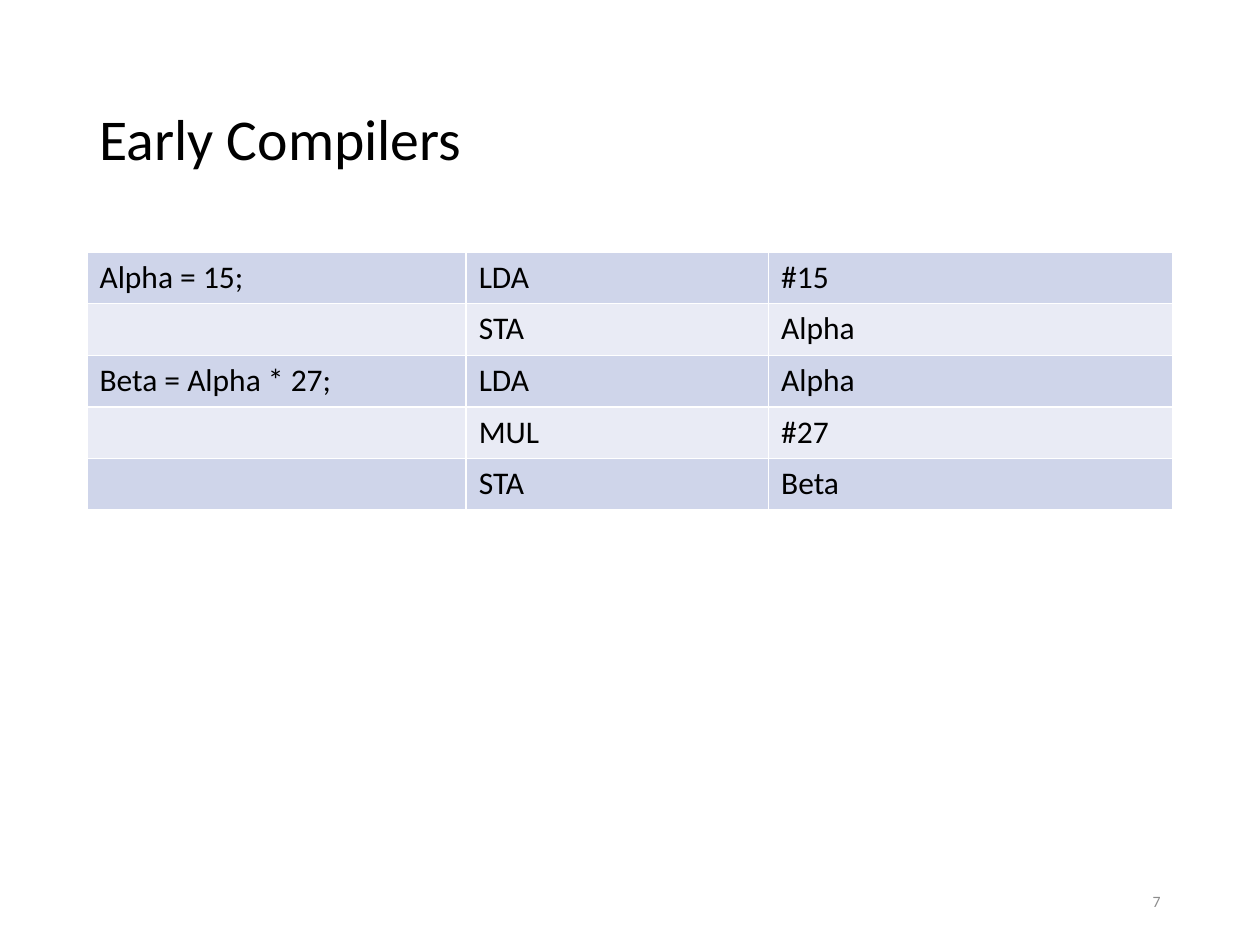
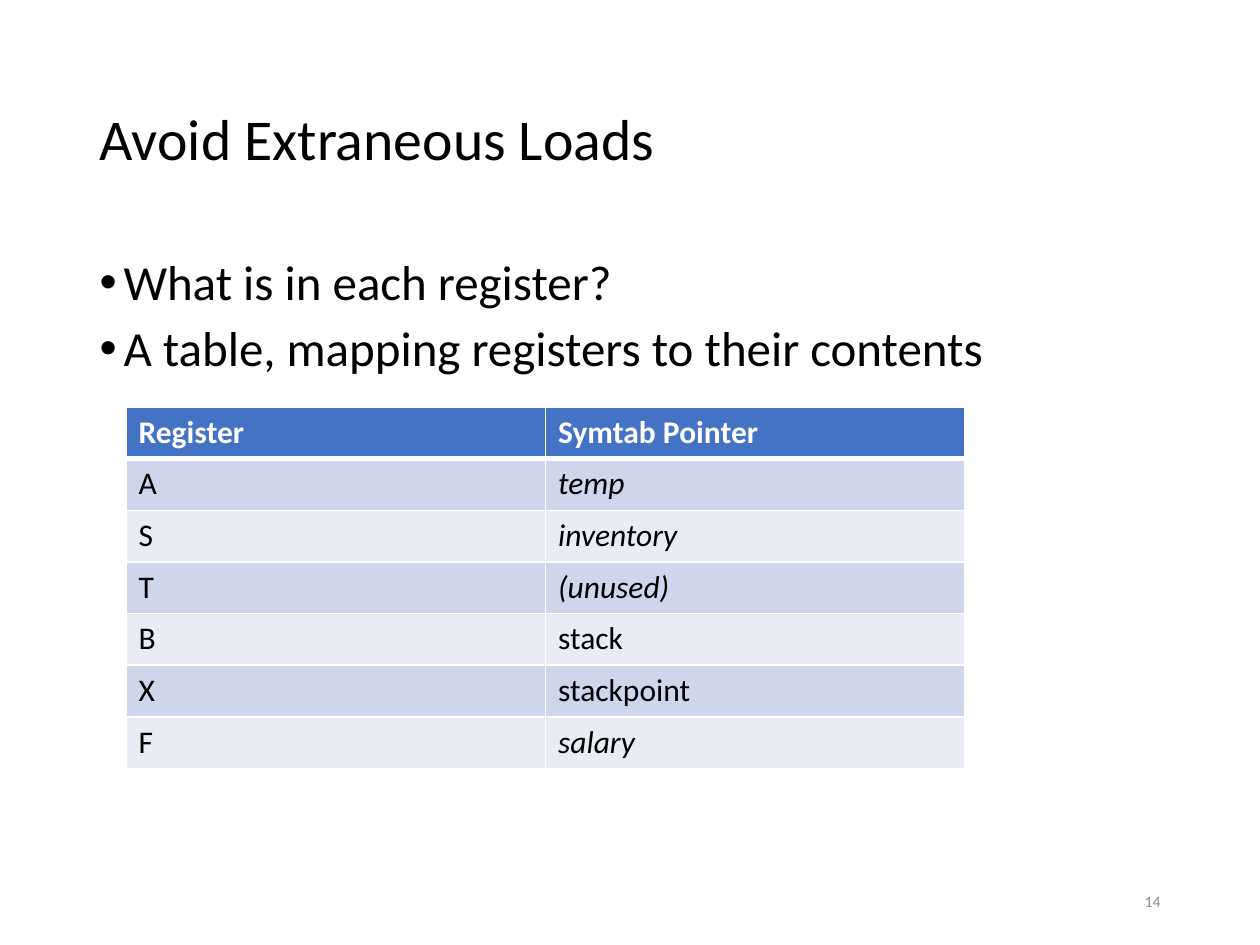
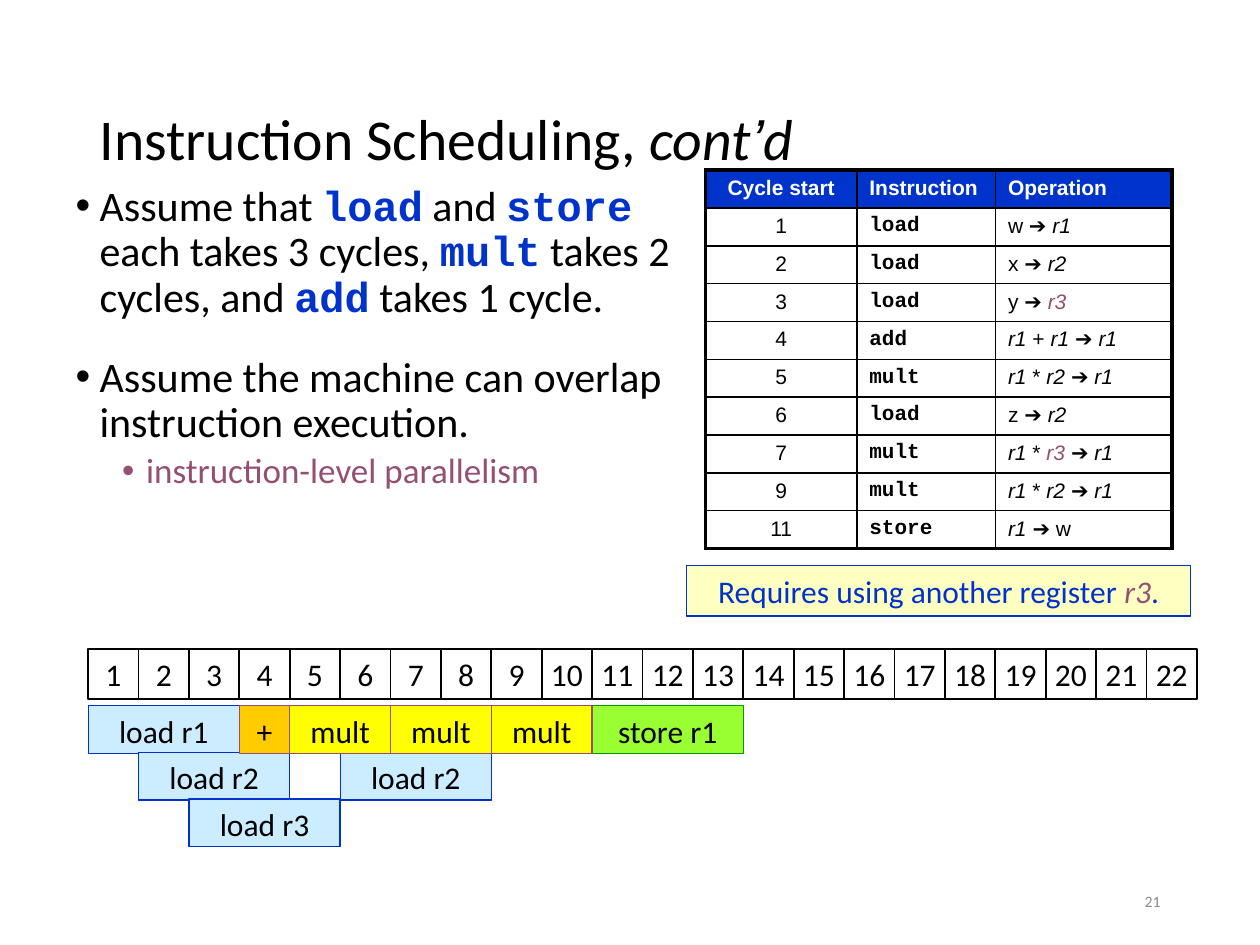
"""Build three compiler lecture slides: early compilers, extraneous loads, instruction scheduling."""
from dataclasses import dataclass

from lxml.etree import SubElement
from pptx import Presentation
from pptx.dml.color import RGBColor
from pptx.enum.shapes import MSO_SHAPE
from pptx.enum.text import MSO_ANCHOR, MSO_AUTO_SIZE, PP_ALIGN
from pptx.oxml.ns import qn
from pptx.util import Inches, Pt


@dataclass(frozen=True)
class Theme:
    sans: str = "Calibri"
    plain: str = "Arial"
    mono: str = "Courier New"
    black: str = "000000"
    white: str = "FFFFFF"
    grey: str = "8C8C8C"
    blue: str = "0033CC"
    plum: str = "954F72"
    header: str = "4472C4"
    bands: tuple = ("CFD5EA", "E9EBF5")
    note: str = "FFFFC2"
    title: int = 33
    body: int = 28
    dense: int = 24
    sub: int = 20
    label: int = 18
    small: int = 12
    number: int = 9


THEME = Theme()
RUN_STYLES = {
    "_": dict(italic=True),
    "^": dict(italic=True, name=THEME.plain),
    "~": dict(italic=True, color=THEME.plum),
    "$": dict(bold=True, name=THEME.mono),
    "`": dict(bold=True, name=THEME.mono, color=THEME.blue),
}
BANDED = dict(font=THEME.sans, size=THEME.label, header=THEME.header, bands=THEME.bands,
              line=THEME.white, frame=1, header_rule=3)
FRAMED = dict(font=THEME.plain, size=THEME.small, header=THEME.blue, bands=(THEME.white,),
              line=THEME.black, frame=2.25, header_rule=1)
TASKS = {
    "load": ("CCECFF", THEME.blue),
    "store": ("99FF33", "009900"),
    "+": ("FFCC00", THEME.plum),
    "mult": ("FFFF00", THEME.plum),
}


def write(paragraph, text, size, color=THEME.black, name=THEME.sans):
    """Fill a paragraph; "|" separates runs and a leading mark picks a run style."""
    paragraph.font.size = Pt(size)
    paragraph.font.name = name
    paragraph.font.color.rgb = RGBColor.from_string(color)
    for part in filter(None, text.split("|")):
        style = RUN_STYLES.get(part[0], {})
        run = paragraph.add_run()
        run.text = part[1:] if style else part
        run.font.bold = style.get("bold")
        run.font.italic = style.get("italic")
        if "name" in style:
            run.font.name = style["name"]
        if "color" in style:
            run.font.color.rgb = RGBColor.from_string(style["color"])


def add_grid(slide, rows, left, top, widths, row_height, look, has_header=True):
    """Add a table with ruled, filled cells and return it."""
    grid = slide.shapes.add_table(
        len(rows), len(widths), Inches(left), Inches(top),
        Inches(sum(widths)), Inches(row_height * len(rows))).table
    grid.first_row = has_header
    grid.horz_banding = False
    for column, width in zip(grid.columns, widths):
        column.width = Inches(width)
    across = [look["frame"]] + [1] * (len(rows) - 1) + [look["frame"]]
    down = [look["frame"]] + [1] * (len(widths) - 1) + [look["frame"]]
    if has_header:
        across[1] = look["header_rule"]
    for r, row in enumerate(rows):
        grid.rows[r].height = Inches(row_height)
        for c, text in enumerate(row):
            cell = grid.cell(r, c)
            is_header = has_header and r == 0
            sides = dict(lnL=down[c], lnR=down[c + 1], lnT=across[r], lnB=across[r + 1])
            for side, weight in sides.items():
                rule = SubElement(cell._tc.get_or_add_tcPr(), qn(f"a:{side}"), w=str(Pt(weight)))
                SubElement(SubElement(rule, qn("a:solidFill")), qn("a:srgbClr"), val=look["line"])
            band = look["bands"][(r - has_header) % len(look["bands"])]
            cell.fill.solid()
            cell.fill.fore_color.rgb = RGBColor.from_string(look["header"] if is_header else band)
            paragraph = cell.text_frame.paragraphs[0]
            write(paragraph, text, look["size"], THEME.white if is_header else THEME.black, look["font"])
            paragraph.font.bold = is_header
    return grid


prs = Presentation()
prs.slide_width, prs.slide_height = Inches(10), Inches(7.5)

TITLE_ONLY, TITLE_AND_BODY = prs.slide_layouts[5], prs.slide_layouts[1]
slides = []
for layout, heading, number in [
    (TITLE_ONLY, "Early Compilers", "7"),
    (TITLE_AND_BODY, "Avoid Extraneous Loads", "14"),
    (TITLE_AND_BODY, "Instruction Scheduling, |_cont|^’|_d", "21"),
]:
    slide = prs.slides.add_slide(layout)
    title = slide.shapes.title
    title.left, title.top, title.width, title.height = map(Inches, (0.69, 0.4, 8.62, 1.45))
    title.text_frame.auto_size = MSO_AUTO_SIZE.NONE
    title.text_frame.vertical_anchor = MSO_ANCHOR.MIDDLE
    line = title.text_frame.paragraphs[0]
    line.alignment, line.line_spacing = PP_ALIGN.LEFT, 0.9
    write(line, heading, THEME.title)

    footer = slide.shapes.add_textbox(*map(Inches, (7.06, 6.95, 2.25, 0.4))).text_frame
    footer.word_wrap = True
    footer.vertical_anchor = MSO_ANCHOR.MIDDLE
    footer.paragraphs[0].alignment = PP_ALIGN.RIGHT
    write(footer.paragraphs[0], number, THEME.number, THEME.grey)
    slides.append(slide)

early, loads, scheduling = slides

for slide, place, points in [
    (loads, (0.69, 2, 8.62, 4.76), [
        ("What is in each register?", 0, THEME.body, THEME.black, 7.5),
        ("A table, mapping registers to their contents", 0, THEME.body, THEME.black, 7.5),
    ]),
    (scheduling, (0.5, 1.42, 5.1, 3.13), [
        ("Assume that |`load| and |`store| each takes 3 cycles, |`mult| takes 2 cycles, and |`add| takes 1 cycle.",
         0, THEME.dense, THEME.black, 7.5),
        ("Assume the machine can overlap instruction execution.", 0, THEME.dense, THEME.black, 20),
        ("instruction-level parallelism", 1, THEME.sub, THEME.plum, 3.8),
    ]),
]:
    body = slide.placeholders[1]
    body.left, body.top, body.width, body.height = map(Inches, place)
    body.text_frame.auto_size = MSO_AUTO_SIZE.NONE
    for i, (text, level, size, color, space) in enumerate(points):
        point = body.text_frame.add_paragraph() if i else body.text_frame.paragraphs[0]
        point.level = level
        properties = point._p.get_or_add_pPr()
        properties.set("marL", str(Inches(0.56 if level else 0.19)))
        properties.set("indent", str(Inches(-0.19)))
        SubElement(properties, qn("a:buFont"), typeface=THEME.plain)
        SubElement(properties, qn("a:buChar"), char="•")
        point.line_spacing, point.space_before = 0.9, Pt(space)
        write(point, text, size, color)

add_grid(early, [
    ("Alpha = 15;", "LDA", "#15"),
    ("", "STA", "Alpha"),
    ("Beta = Alpha * 27;", "LDA", "Alpha"),
    ("", "MUL", "#27"),
    ("", "STA", "Beta"),
], 0.69, 2, (3.01, 2.4, 3.21), 0.41, BANDED, has_header=False)

add_grid(loads, [
    ("Register", "Symtab Pointer"),
    ("A", "_temp"),
    ("S", "_inventory"),
    ("T", "_(unused)"),
    ("B", "stack"),
    ("X", "stackpoint"),
    ("F", "_salary"),
], 1, 3.23, (3.33, 3.33), 0.41, BANDED)

schedule = add_grid(scheduling, [
    ("Cycle start", "Instruction", "Operation"),
    ("1", "$load", "w ➔ |_r1"),
    ("2", "$load", "x ➔ |_r2"),
    ("3", "$load", "y ➔ |~r3"),
    ("4", "$add", "_r1| + |_r1 |➔ |_r1"),
    ("5", "$mult", "_r1| * |_r2 |➔ |_r1"),
    ("6", "$load", "z ➔ |_r2"),
    ("7", "$mult", "_r1| * |~r3 |➔ |_r1"),
    ("9", "$mult", "_r1| * |_r2 |➔ |_r1"),
    ("11", "$store", "_r1 |➔ w"),
], 5.6, 1.35, (1.2, 1.1, 1.4), 0.29, FRAMED)
for r in range(len(schedule.rows)):
    schedule.cell(r, 0).text_frame.paragraphs[0].alignment = PP_ALIGN.CENTER

CYCLE, TIMELINE_LEFT = 0.4, 0.7
boxes = [("Requires using another register |~r3|.", 5.45, 4.49, 4, 0.4, THEME.note, THEME.blue, 0.75)]
for task, start, cycles, lane in [
    ("load r1", 1, 3, 0), ("load r2", 2, 3, 1), ("load r3", 3, 3, 2), ("load r2", 6, 3, 1),
    ("store r1", 11, 3, 0), ("+", 4, 1, 0), ("mult", 5, 2, 0), ("mult", 7, 2, 0), ("mult", 9, 2, 0),
]:
    boxes.append((task, TIMELINE_LEFT + CYCLE * (start - 1), 5.6 + 0.37 * lane, CYCLE * cycles, 0.38,
                  *TASKS[task.split()[0]], 0.75))
for cycle in range(22):
    boxes.append((str(cycle + 1), TIMELINE_LEFT + CYCLE * cycle, 5.15, CYCLE, CYCLE, None, THEME.black, 1))

for text, left, top, width, height, fill, outline, weight in boxes:
    box = scheduling.shapes.add_shape(MSO_SHAPE.RECTANGLE, *map(Inches, (left, top, width, height)))
    box.shadow.inherit = False
    if fill:
        box.fill.solid()
        box.fill.fore_color.rgb = RGBColor.from_string(fill)
    else:
        box.fill.background()
    box.line.color.rgb = RGBColor.from_string(outline)
    box.line.width = Pt(weight)
    frame = box.text_frame
    frame.word_wrap = False
    frame.vertical_anchor = MSO_ANCHOR.TOP
    frame.margin_bottom = 0
    frame.paragraphs[0].alignment = PP_ALIGN.CENTER
    write(frame.paragraphs[0], text, THEME.label, THEME.blue if fill == THEME.note else THEME.black)

prs.save("out.pptx")
